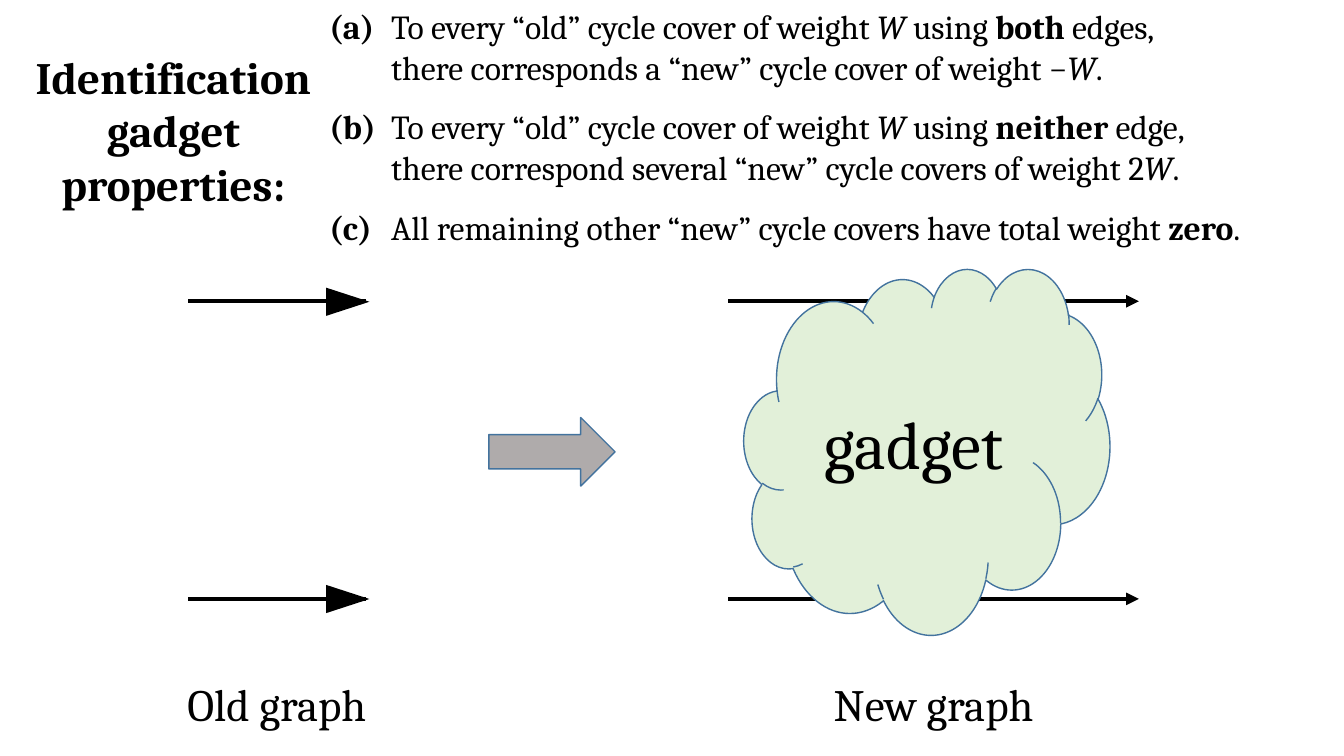
from pptx import Presentation
from pptx.dml.color import RGBColor
from pptx.enum.shapes import MSO_CONNECTOR, MSO_SHAPE
from pptx.enum.text import MSO_ANCHOR, PP_ALIGN
from pptx.oxml.ns import qn
from pptx.util import Cm, Pt
from lxml.etree import SubElement


def rgb(value):
    return RGBColor.from_string(value)


def add_text(p, text, size, bold=False, italic=False):
    r = p.add_run()
    r.text = text
    for name, value in {"name": "Cambria", "size": Pt(size),
                        "bold": bold, "italic": italic}.items():
        setattr(r.font, name, value)
    r.font.color.rgb = rgb("000000")


prs = Presentation()
prs.slide_width, prs.slide_height = Cm(33.87), Cm(19.05)
s = prs.slides.add_slide(prs.slide_layouts[6])

labels = [
    (4.34, 16.94, 5.28, 1.63, False, False, ["Old graph"]),
    (20.62, 16.94, 5.82, 1.63, False, False, ["New graph"]),
    (0.51, 1.12, 7.72, 4.37, True, True, ["Identification", "gadget properties:"]),
]
for x, y, w, h, wrap, bold, lines in labels:
    tf = s.shapes.add_textbox(Cm(x), Cm(y), Cm(w), Cm(h)).text_frame
    tf.word_wrap = wrap
    p = tf.paragraphs[0]
    p.alignment = PP_ALIGN.CENTER
    for i, line in enumerate(lines):
        if i:
            p.add_line_break()
        add_text(p, line, 32, bold)

properties = [
    ("(a)", [[("To every “old” cycle cover of weight ", ""), ("W ", "i"),
              ("using ", ""), ("both ", "b"), ("edges,", "")],
             [("there corresponds a “new” cycle cover of weight −", ""),
              ("W", "i"), (".", "")]]),
    ("(b)", [[("To every “old” cycle cover of weight ", ""), ("W", "i"),
              (" using ", ""), ("neither ", "b"), ("edge,", "")],
             [("there correspond several “new” cycle covers of weight 2", ""),
              ("W", "i"), (".", "")]]),
    ("(c)", [[("All remaining other “new” cycle covers have total weight ", ""),
              ("zero", "b"), (".", "")]]),
]
tf = s.shapes.add_textbox(Cm(8.05), Cm(0.03), Cm(26.82), Cm(6.58)).text_frame
tf.word_wrap = True
for i, (letter, lines) in enumerate(properties):
    p = tf.add_paragraph() if i else tf.paragraphs[0]
    if i:
        p.space_before = Pt(14)
    pPr = p._p.get_or_add_pPr()
    pPr.set("marL", str(Cm(1.56)))
    pPr.set("indent", str(-Cm(1.56)))
    add_text(p, letter + "\t", 24, True)
    for j, line in enumerate(lines):
        if j:
            p.add_line_break()
        for text, style in line:
            add_text(p, text, 24, style == "b", style == "i")

old_x, new_x, cover_x, edge_w = 4.75, 18.35, 24.23, 4.47
for y in (7.59, 15.09):
    for x in (old_x, new_x, cover_x):
        edge = s.shapes.add_connector(MSO_CONNECTOR.STRAIGHT,
                                      Cm(x), Cm(y), Cm(x + edge_w), Cm(y))
        edge.line.color.rgb = rgb("000000")
        edge.line.width = Pt(3)
        SubElement(edge._element.spPr, qn("a:effectLst"))
        if x != old_x:
            SubElement(edge.line._get_or_add_ln(), qn("a:tailEnd"), type="triangle")

black, grey, green, blue = "000000", "AFABAB", "E2F0D9", "43739E"
shapes = [
    (MSO_SHAPE.ISOSCELES_TRIANGLE, 8.41, 7.06, 0.71, 1.09, 90, black, None, ""),
    (MSO_SHAPE.ISOSCELES_TRIANGLE, 8.41, 14.55, 0.71, 1.09, 90, black, None, ""),
    (MSO_SHAPE.RIGHT_ARROW, 12.32, 10.52, 3.18, 1.73, 0, grey, blue, ""),
    (MSO_SHAPE.CLOUD, 18.75, 6.76, 9.22, 9.22, 0, green, blue, "gadget"),
]
for kind, x, y, w, h, turn, fill, outline, text in shapes:
    sp = s.shapes.add_shape(kind, Cm(x), Cm(y), Cm(w), Cm(h))
    sp.shadow.inherit = False
    sp.rotation = turn
    sp.fill.solid()
    sp.fill.fore_color.rgb = rgb(fill)
    if outline:
        sp.line.color.rgb = rgb(outline)
        sp.line.width = Pt(1)
    else:
        sp.line.fill.background()
    if text:
        sp.text_frame.vertical_anchor = MSO_ANCHOR.MIDDLE
        p = sp.text_frame.paragraphs[0]
        p.alignment = PP_ALIGN.CENTER
        add_text(p, text, 48)

prs.save("out.pptx")
